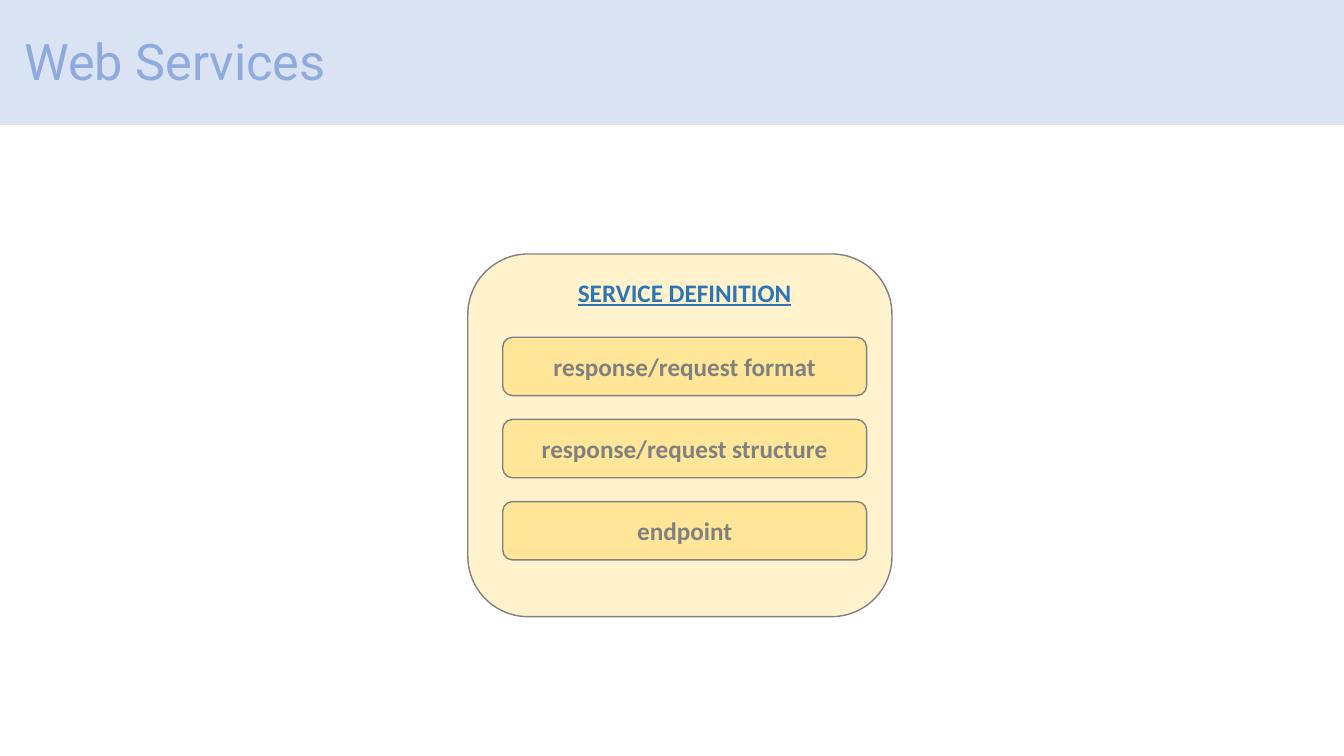
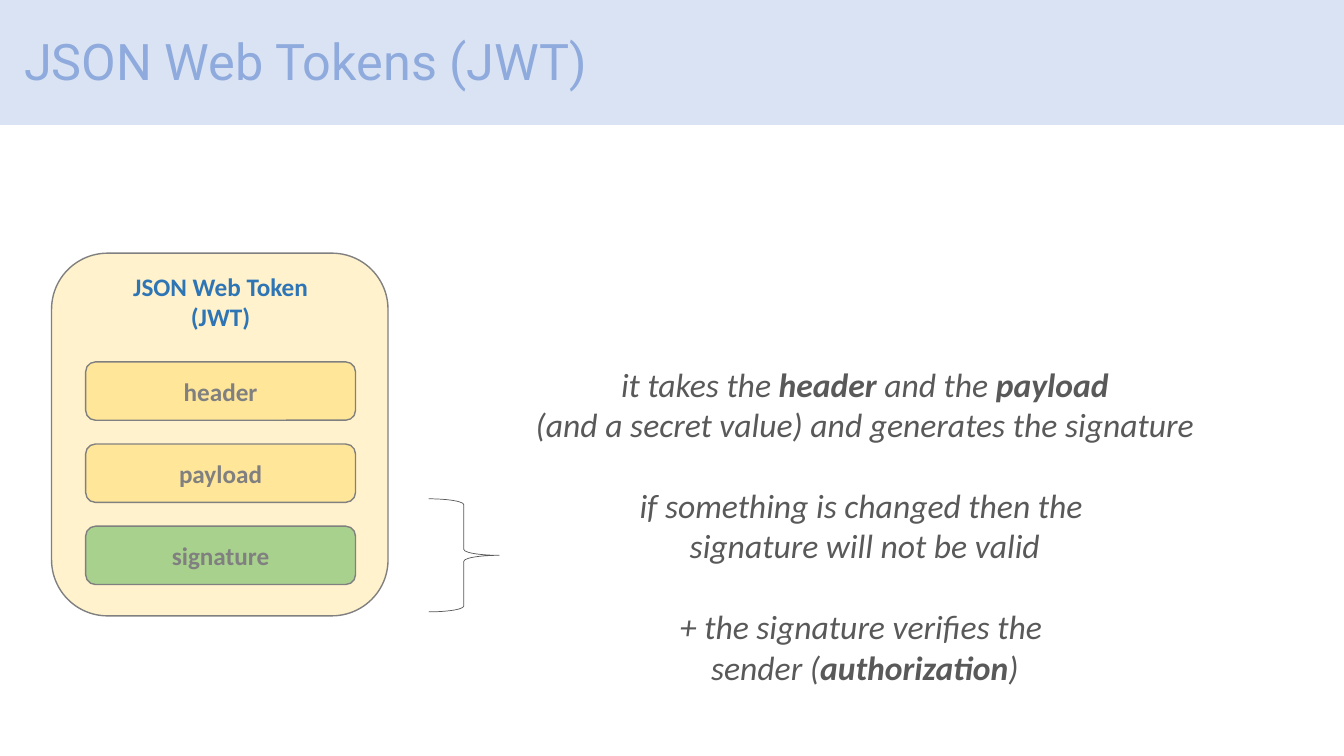
from pptx import Presentation
from pptx.dml.color import RGBColor
from pptx.enum import shapes, text
from pptx.util import Cm, Pt

BAND, TITLE = "DAE3F3", "8FAADC"
CARD, ROW, SIGNED = "FFF2CC", "FFE699", "A9D18E"
HEADING, GREY, DARK, WHITE = "2E75B6", "808080", "595959", "FFFFFF"
CARD_HEIGHT, ROW_HEIGHT, ROW_PITCH = 9.14, 1.47, 2.07
SHAPE = shapes.MSO_SHAPE


def color(value):
    return RGBColor.from_string(value)


def style(p, size, ink, font="Calibri", bold=False, italic=False, underline=None):
    for r in p.runs:
        r.font.name = font
        r.font.size = Pt(size)
        r.font.color.rgb = color(ink)
        r.font.bold = bold
        r.font.italic = italic
        r.font.underline = underline


def add_shape(s, kind, box, line, fill=None, width=1):
    sp = s.shapes.add_shape(kind, *map(Cm, box))
    sp.shadow.inherit = False
    sp.line.color.rgb = color(line)
    sp.line.width = Pt(width)
    if fill:
        sp.fill.solid()
        sp.fill.fore_color.rgb = color(fill)
    else:
        sp.fill.background()
    return sp


def add_text(s, box, lines, align=text.PP_ALIGN.CENTER, **look):
    tf = s.shapes.add_textbox(*map(Cm, box)).text_frame
    tf.word_wrap = False
    tf.text = "\n".join(lines)
    for p in tf.paragraphs:
        p.alignment = align
        style(p, **look)
    return tf


def add_slide(prs, title):
    s = prs.slides.add_slide(prs.slide_layouts[6])
    add_shape(s, SHAPE.RECTANGLE, (-0.36, -0.1, 34.47, 3.28), WHITE, BAND)
    tf = add_text(s, (0.36, -0.23, 29.21, 3.68), [title], text.PP_ALIGN.LEFT,
                  size=36, ink=TITLE, font="Roboto")
    tf.word_wrap = True
    tf.vertical_anchor = text.MSO_ANCHOR.MIDDLE
    tf.paragraphs[0].line_spacing = 0.9
    return s


def add_row(s, box, label, fill):
    sp = add_shape(s, SHAPE.ROUNDED_RECTANGLE, box, GREY, fill)
    tf = sp.text_frame
    tf.text = label
    tf.vertical_anchor = text.MSO_ANCHOR.MIDDLE
    p = tf.paragraphs[0]
    p.alignment = text.PP_ALIGN.CENTER
    style(p, 18, GREY, bold=True)


def add_card(s, card, heading, heading_top, rows, row_box, underline=None):
    left, top, width = card
    add_shape(s, SHAPE.ROUNDED_RECTANGLE, (left, top, width, CARD_HEIGHT), GREY, CARD)
    row_left, row_top, row_width = row_box
    add_text(s, (row_left, heading_top, row_width, len(heading)), heading,
             size=18, ink=HEADING, bold=True, underline=underline)
    for i, (label, fill) in enumerate(rows):
        add_row(s, (row_left, row_top + i * ROW_PITCH, row_width, ROW_HEIGHT), label, fill)


def add_remarks(s, box, remarks):
    tf = s.shapes.add_textbox(*map(Cm, box)).text_frame
    tf.word_wrap = False
    p = tf.paragraphs[0]
    for i, remark in enumerate(remarks):
        for j, line in enumerate(remark):
            if i or j:
                p = tf.add_paragraph()
            if i and not j:
                p.space_before = Pt(29)
            p.alignment = text.PP_ALIGN.CENTER
            pieces = line.split("**")
            for piece in pieces:
                p.add_run().text = piece
            style(p, 24, DARK, italic=True)
            for r in p.runs[1::2]:
                r.font.bold = True


def web_services(prs):
    s = add_slide(prs, "Web Services")
    labels = ("response/request format", "response/request structure", "endpoint")
    add_card(s, (11.79, 6.4, 10.69), ["SERVICE DEFINITION"], 6.86,
             [(label, ROW) for label in labels], (12.67, 8.5, 9.17), underline=True)


def json_web_tokens(prs):
    s = add_slide(prs, "JSON Web Tokens (JWT)")
    add_card(s, (1.3, 6.38, 8.48), ["JSON Web Token", "(JWT)"], 6.7,
             [("header", ROW), ("payload", ROW), ("signature", SIGNED)],
             (2.16, 9.12, 6.8))
    add_shape(s, SHAPE.RIGHT_BRACE, (10.8, 12.57, 1.78, 2.85), DARK, width=0.5)
    add_remarks(s, (13.16, 9.04, 17.27, 9.5), [
        ("it takes the **header** and the **payload",
         "(and a secret value) and generates the signature"),
        ("if something is changed then the ", "signature will not be valid"),
        ("+ the signature verifies the ", "sender (**authorization**)"),
    ])


def main():
    prs = Presentation()
    prs.slide_width, prs.slide_height = Cm(33.87), Cm(19.05)
    web_services(prs)
    json_web_tokens(prs)
    prs.save("out.pptx")


if __name__ == "__main__":
    main()
